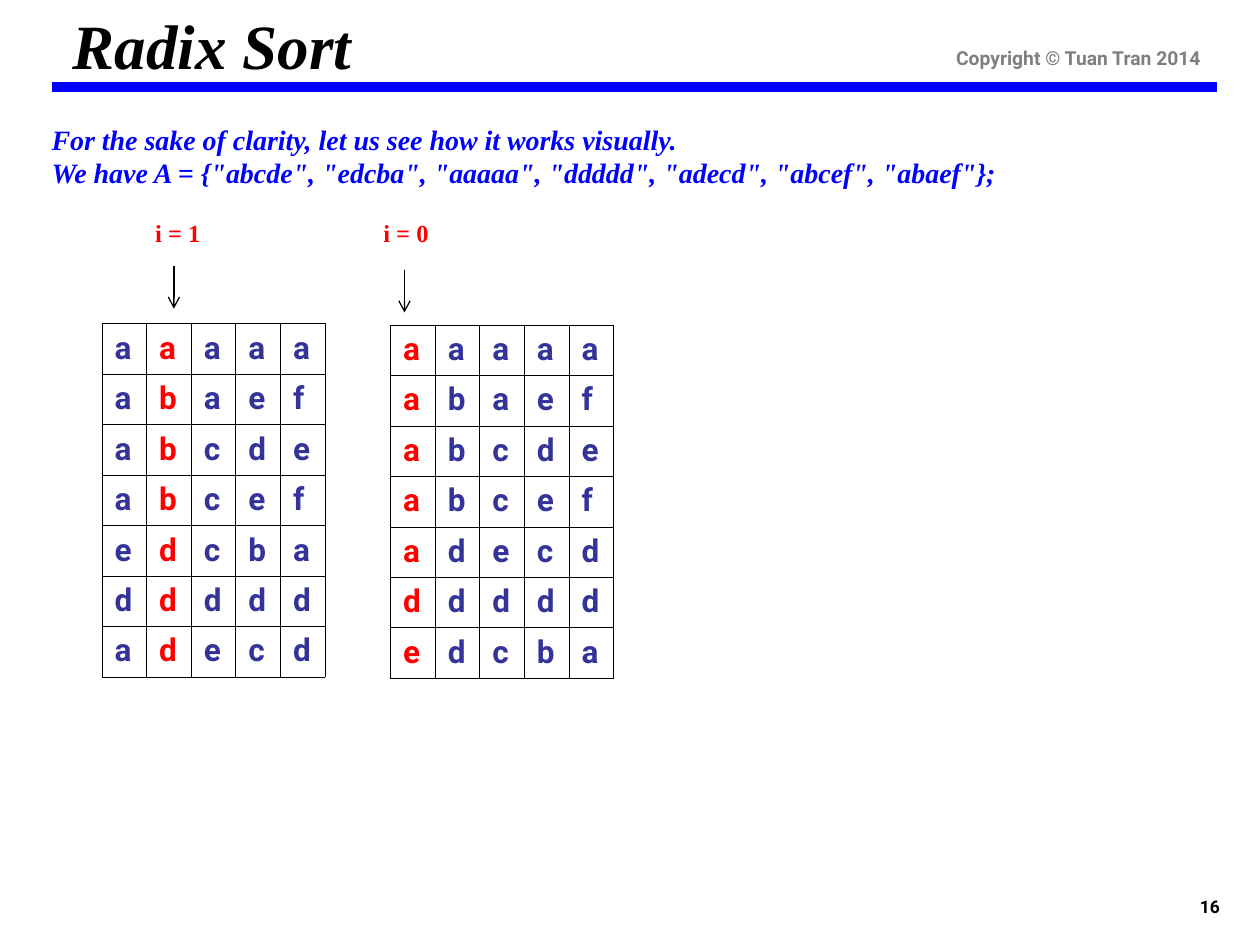
"""Build the Radix Sort slide with its last two passes."""
from lxml import etree
from pptx import Presentation
from pptx.dml.color import RGBColor
from pptx.enum.shapes import MSO_CONNECTOR
from pptx.enum.text import MSO_ANCHOR, MSO_AUTO_SIZE, PP_ALIGN
from pptx.oxml.ns import qn
from pptx.util import Inches, Pt

STRAIGHT = MSO_CONNECTOR.STRAIGHT
TOP, BOTTOM = MSO_ANCHOR.TOP, MSO_ANCHOR.BOTTOM
LEFT, RIGHT = PP_ALIGN.LEFT, PP_ALIGN.RIGHT
FIXED, GROW = MSO_AUTO_SIZE.NONE, MSO_AUTO_SIZE.SHAPE_TO_FIT_TEXT

SANS, SERIF = "Roboto", "Times New Roman"
BLACK, BLUE, RED = "000000", "0000FF", "FF0000"
THEME = {
    "number": dict(name=SANS, size=10, color=BLACK, bold=True),
    "title": dict(name=SERIF, size=36, color=BLACK, bold=True, italic=True),
    "copyright": dict(name=SANS, size=11, color="7F7F7F", bold=True),
    "intro": dict(name=SERIF, size=16, color=BLUE, bold=True, italic=True),
    "index": dict(name=SERIF, size=14, color=RED, bold=True),
    "letter": dict(name=SANS, size=18, color="333399", bold=True),
    "key": dict(name=SANS, size=18, color=RED, bold=True),
    "rule": dict(color=BLUE, width=6),
    "arrow": dict(color=BLACK, width=0.75),
    "grid": dict(color=BLACK, width=0.45),
}

INTRO = [
    "For the sake of clarity, let us see how it works visually.",
    'We have A = {"abcde", "edcba", "aaaaa", "ddddd", "adecd", "abcef", "abaef"};',
]
TEXTS = [
    ("number", ["16"], (7.7, 6.83, 2.08, 0.5),
     dict(vertical_anchor=BOTTOM), RIGHT),
    ("title", ["Radix Sort"], (0.48, 0, 2.41, 1.3),
     dict(word_wrap=False, auto_size=GROW), LEFT),
    ("copyright", ["Copyright © Tuan Tran 2014"], (6.46, 0.33, 3.17, 0.27),
     dict(vertical_anchor=BOTTOM), RIGHT),
    ("intro", INTRO, (0.25, 0.92, 9.17, 0.64),
     dict(auto_size=GROW, margin_left=Inches(0.16)), LEFT),
]
PASSES = [
    dict(key=1, words="aaaaa abaef abcde abcef edcba ddddd adecd".split(),
         grid=(0.81, 2.57), label=1.07, arrow=(1.38, 2.11)),
    dict(key=0, words="aaaaa abaef abcde abcef adecd ddddd edcba".split(),
         grid=(3.1, 2.58), label=2.88, arrow=(3.21, 2.14)),
]
GRID_W, ROW_H = 1.77, 0.4
LABEL_TOP, LABEL_W, LABEL_H = 1.68, 0.62, 0.34
ARROW_LEN = 0.34


def style(font, look):
    values = {**look, "size": Pt(look["size"])}
    font.color.rgb = RGBColor.from_string(values.pop("color"))
    for name, value in values.items():
        setattr(font, name, value)


def add_text(s, look, lines, box, frame, align):
    tf = s.shapes.add_textbox(*map(Inches, box)).text_frame
    settings = dict(word_wrap=True, auto_size=FIXED, vertical_anchor=TOP)
    for name, value in {**settings, **frame}.items():
        setattr(tf, name, value)
    for i, line in enumerate(lines):
        p = tf.add_paragraph() if i else tf.paragraphs[0]
        p.alignment = align
        r = p.add_run()
        r.text = line
        style(r.font, THEME[look])


def add_line(s, look, start, end, head=False):
    line = s.shapes.add_connector(STRAIGHT, *map(Inches, (*start, *end)))
    line.line.color.rgb = RGBColor.from_string(THEME[look]["color"])
    line.line.width = Pt(THEME[look]["width"])
    if head:
        etree.SubElement(line.line._get_or_add_ln(), qn("a:tailEnd"), type="arrow")
    etree.SubElement(line._element.spPr, qn("a:effectLst"))


def add_borders(cell):
    tcPr = cell._tc.get_or_add_tcPr()
    width = str(Pt(THEME["grid"]["width"]))
    for i, side in enumerate(("lnL", "lnR", "lnT", "lnB")):
        ln = etree.Element(qn(f"a:{side}"), w=width)
        fill = etree.SubElement(ln, qn("a:solidFill"))
        etree.SubElement(fill, qn("a:srgbClr"), val=THEME["grid"]["color"])
        tcPr.insert(i, ln)


def add_grid(s, words, key, corner):
    rows, cols = len(words), len(words[0])
    size = (GRID_W, ROW_H * rows)
    table = s.shapes.add_table(rows, cols, *map(Inches, (*corner, *size))).table
    table.first_row = table.horz_banding = False
    for col in table.columns:
        col.width = Inches(GRID_W / cols)
    for row, word in zip(table.rows, words):
        row.height = Inches(ROW_H)
        for i, (cell, letter) in enumerate(zip(row.cells, word)):
            cell.fill.background()
            add_borders(cell)
            r = cell.text_frame.paragraphs[0].add_run()
            r.text = letter
            style(r.font, THEME["key" if i == key else "letter"])


def main():
    prs = Presentation()
    prs.slide_width, prs.slide_height = Inches(10), Inches(7.5)
    s = prs.slides.add_slide(prs.slide_layouts[6])
    for text in TEXTS:
        add_text(s, *text)
    add_line(s, "rule", (0.41, 0.69), (9.66, 0.69))
    for step in PASSES:
        add_grid(s, step["words"], step["key"], step["grid"])
        add_text(s, "index", [f"i = {step['key']}"],
                 (step["label"], LABEL_TOP, LABEL_W, LABEL_H),
                 dict(auto_size=GROW), RIGHT)
        x, y = step["arrow"]
        add_line(s, "arrow", (x, y), (x, y + ARROW_LEN), head=True)
    prs.save("out.pptx")


if __name__ == "__main__":
    main()
